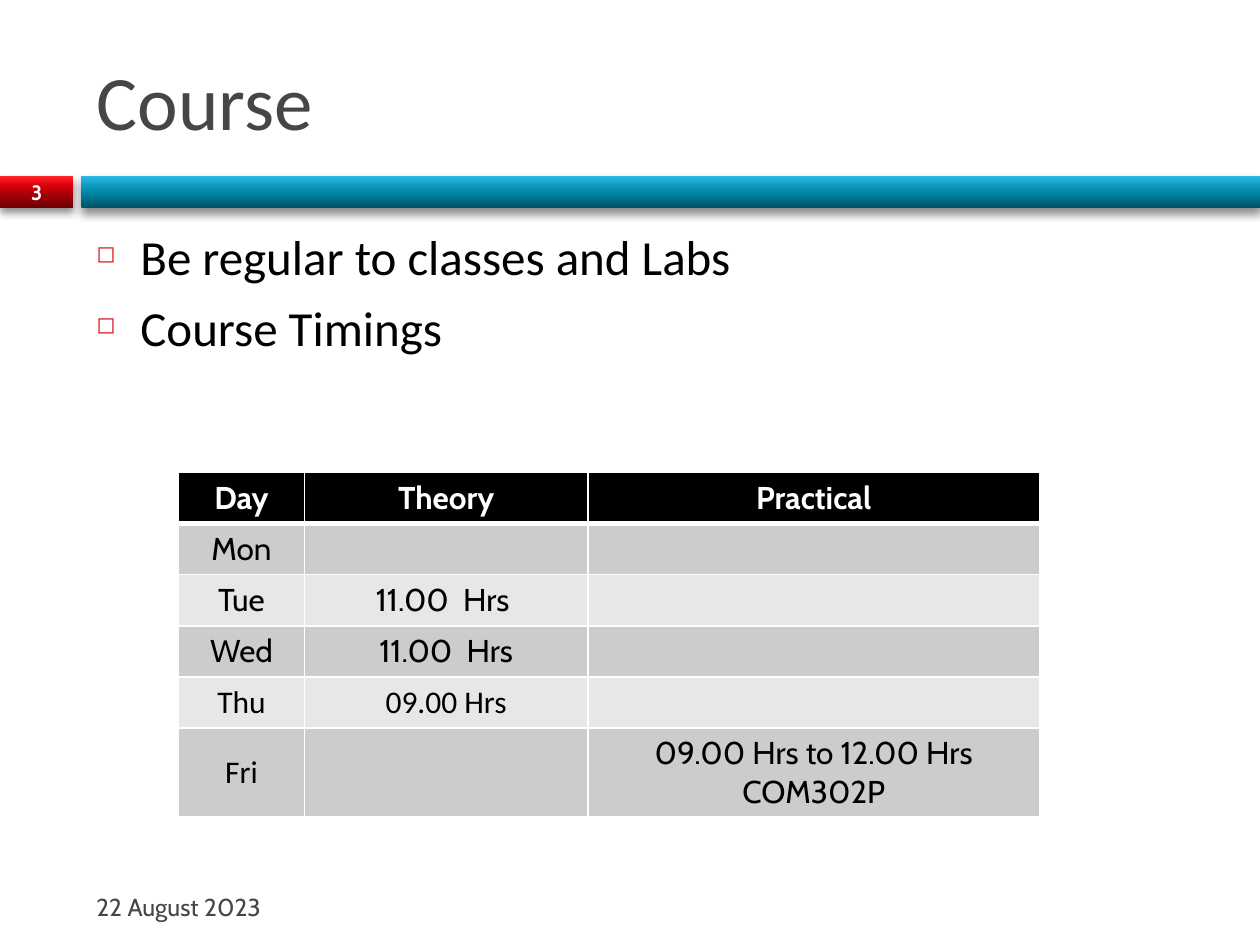
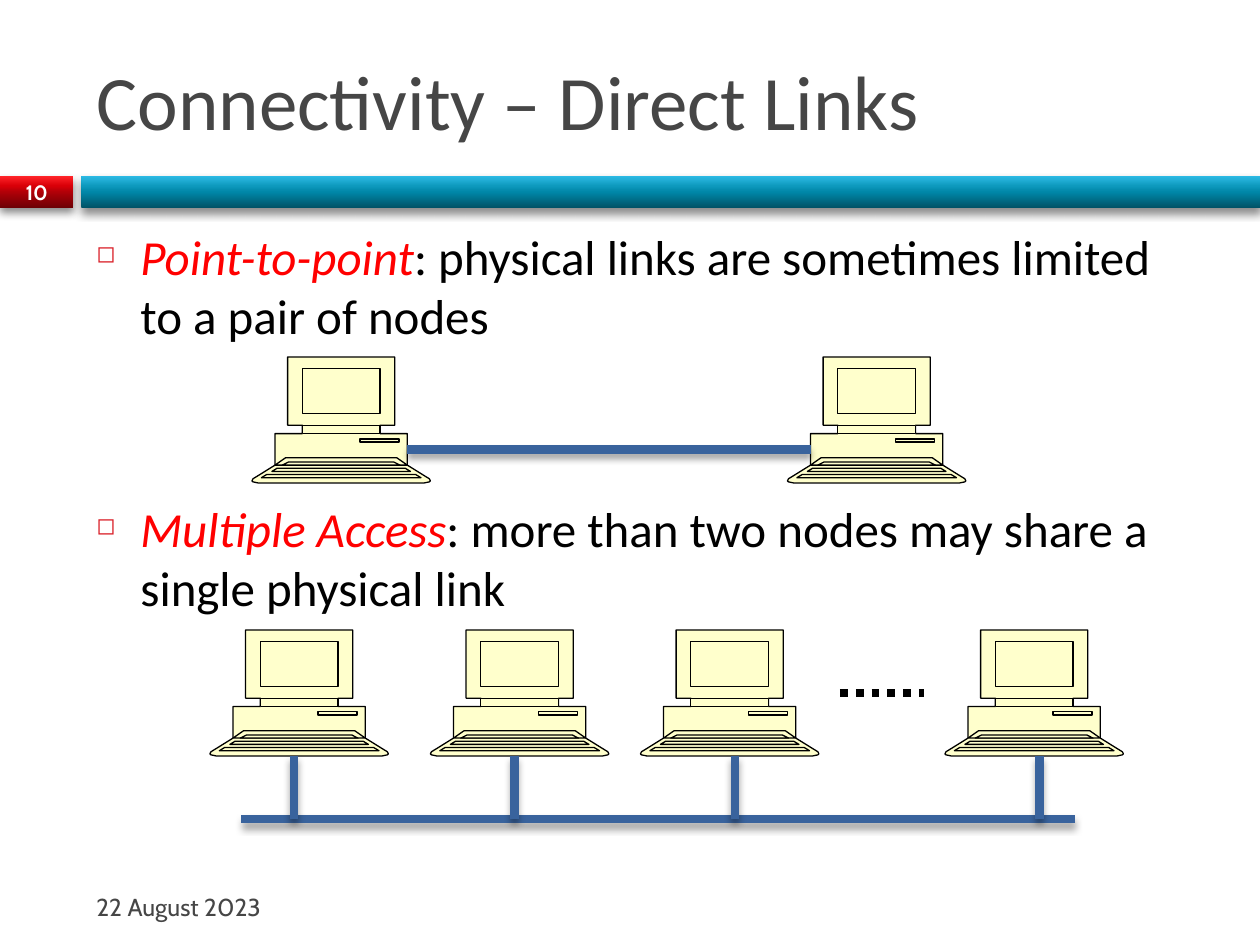
from lxml.etree import SubElement
from pptx import Presentation
from pptx.dml.color import RGBColor
from pptx.enum.dml import MSO_LINE
from pptx.enum.shapes import MSO_CONNECTOR, MSO_SHAPE
from pptx.enum.text import MSO_ANCHOR, MSO_AUTO_SIZE, PP_ALIGN
from pptx.oxml import parse_xml
from pptx.oxml.ns import nsdecls, qn
from pptx.util import Inches, Pt

# Grid: 120 columns by 90 rows, 12 to the inch
UNIT = Inches(1) // 12
RED = ["6D0005", "B00008", "DA0008", "FF2429"]
TEAL = ["005367", "0086A7", "0E9ABE", "2CB9E3"]
GREY, BLACK, WHITE = "464646", "000000", "FFFFFF"
MARK, KEY, WIRE, CREAM = "DA1F28", "FF0000", "39639D", "FFFFCC"
hue = RGBColor.from_string


def at(*cells):
    return [round(UNIT * cell) for cell in cells]


def put(para, text, size, color, face="Calibri", bold=False, italic=False):
    run = para.add_run()
    run.text = text
    font = run.font
    font.size, font.name = Pt(size), face
    font.bold, font.italic = bold, italic
    font.color.rgb = hue(color)


prs = Presentation()
prs.slide_width, prs.slide_height = at(120, 90)

# Each page: number, title, bullets as (space before, runs)
pages = [
    (3, "Course", [
        (7, [("Be regular to classes and Labs", BLACK, False)]),
        (7, [("Course Timings", BLACK, False)]),
    ]),
    (10, "Connectivity – Direct Links", [
        (7, [("Point-to-point", KEY, True),
             (": physical links are sometimes limited to a pair of nodes",
              BLACK, False)]),
        (88, [("Multiple Access", KEY, True),
              (": more than two nodes may share a single physical link",
               BLACK, False)]),
    ]),
]
slides = []
casts = []  # (shape, shadow opacity, blur, distance)

for number, name, points in pages:
    slide = prs.slides.add_slide(prs.slide_layouts[5])
    slides.append(slide)

    # Bands
    for left, wide, stops in [(0, 7, RED), (7.75, 112.25, TEAL)]:
        band = slide.shapes.add_shape(
            MSO_SHAPE.RECTANGLE, *at(left, 16.8, wide, 3))
        band.line.fill.background()
        band.fill.gradient()
        band.fill.gradient_angle = 90
        ramp = band.element.spPr.find(".//" + qn("a:gsLst"))
        for stop in list(ramp):
            ramp.remove(stop)
        for share, color in zip([0, 50, 70, 100], stops):
            stop = SubElement(ramp, qn("a:gs"), pos=str(share * 1000))
            SubElement(stop, qn("a:srgbClr"), val=color)
        casts.append((band, 45, 5, 3))

    # Title
    title = slide.shapes.title
    title.left, title.top, title.width, title.height = at(8, 3, 107, 13)
    frame = title.text_frame
    frame.auto_size, frame.word_wrap = MSO_AUTO_SIZE.NONE, True
    frame.vertical_anchor = MSO_ANCHOR.MIDDLE
    frame.paragraphs[0].alignment = PP_ALIGN.LEFT
    put(frame.paragraphs[0], name, 44, GREY)

    # Bullets
    frame = slide.shapes.add_textbox(*at(8, 21, 107, 59)).text_frame
    frame.word_wrap = True
    for row, (gap, runs) in enumerate(points):
        para = frame.add_paragraph() if row else frame.paragraphs[0]
        para.space_before = Pt(gap)
        props = para._p.get_or_add_pPr()
        props.set("marL", str(Inches(0.35)))
        props.set("indent", str(-Inches(0.35)))
        tint = SubElement(props, qn("a:buClr"))
        SubElement(tint, qn("a:srgbClr"), val=MARK)
        SubElement(props, qn("a:buSzPct"), val="48000")
        SubElement(props, qn("a:buChar"), char="◻")
        for text, color, slant in runs:
            put(para, text, 28, color, italic=slant)

    # Date and page number
    for area, text, size, color, bold, align in [
        ((8, 84, 35, 4.8), "22 August 2023", 14, GREY, False, PP_ALIGN.LEFT),
        ((0, 16.7, 7, 3.2), str(number), 11.9, WHITE, True, PP_ALIGN.CENTER),
    ]:
        frame = slide.shapes.add_textbox(*at(*area)).text_frame
        frame.word_wrap = True
        frame.vertical_anchor = MSO_ANCHOR.MIDDLE
        frame.paragraphs[0].alignment = align
        put(frame.paragraphs[0], text, size, color, "Cabin", bold)

course, links = slides

# Timetable
times = [
    ["Day", "Theory", "Practical"],
    ["Mon", "", ""],
    ["Tue", "11.00  Hrs ", ""],
    ["Wed", "11.00  Hrs", ""],
    ["Thu", "09.00 Hrs", ""],
    ["Fri", "", "09.00 Hrs to 12.00 Hrs\nCOM302P"],
]
table = course.shapes.add_table(6, 3, *at(17, 45, 82, 32.8)).table
table.first_row = table.horz_banding = False
for col, wide in zip(table.columns, at(12, 27, 43)):
    col.width = wide
for r, texts in enumerate(times):
    table.rows[r].height = Pt(29.2 if r < 5 else 51)
    shade = BLACK if r == 0 else "CCCCCC" if r % 2 else "E7E7E7"
    for c, text in enumerate(texts):
        cell = table.cell(r, c)
        cell.vertical_anchor = MSO_ANCHOR.MIDDLE
        cell.fill.solid()
        cell.fill.fore_color.rgb = hue(shade)
        face = "Calibri" if r > 3 and c < 2 else "Cabin"
        for i, line in enumerate(text.split("\n") if text else []):
            frame = cell.text_frame
            para = frame.add_paragraph() if i else frame.paragraphs[0]
            para.alignment = PP_ALIGN.CENTER
            put(para, line, 18, WHITE if r == 0 else BLACK, face, r == 0)
        # Cell borders, thick under the head row
        props = cell._tc.get_or_add_tcPr()
        for i, side in enumerate("LRTB"):
            thick = 3 if (r, side) in [(0, "B"), (1, "T")] else 1
            props.insert(i, parse_xml(
                f'<a:ln{side} {nsdecls("a")} w="{Pt(thick)}"><a:solidFill>'
                f'<a:srgbClr val="{WHITE}"/></a:solidFill></a:ln{side}>'))

# Computer parts: left halves, mirrored to a width of 17
halves = [
    [(3.4, 0), (3.4, 6.5), (4.8, 6.5), (4.8, 7.3), (2.2, 7.3), (2.2, 10.3),
     (0.6, 11.3), (0.1, 11.6), (0, 11.8), (0.1, 11.9), (0.6, 12)],  # case
    [(3.2, 9.6), (2.2, 10.3)],   # deck
    [(3.5, 10), (2.9, 10.3)],    # rows of keys
    [(2.4, 10.6), (1.9, 10.9)],
    [(1.4, 11.2), (0.9, 11.5)],
    [(4.8, 1.1), (4.8, 5.4)],    # screen
    [(4.8, 6.5), (4.8, 7.3)],    # neck
]
parts = [half + [(17 - x, y) for x, y in reversed(half)] for half in halves]
parts.append([(10.3, 7.8), (10.3, 8.1), (14, 8.1), (14, 7.8)])  # drive

# Computers, one outline each
hosts = []
for left, top in [(24, 34), (75, 34), (20, 60), (41, 60), (61, 60), (90, 60)]:
    pen = None
    for part in parts:
        spots = [at(left + x, top + y) for x, y in part]
        if pen:
            pen.move_to(*spots[0])
        else:
            pen = links.shapes.build_freeform(*spots[0])
        pen.add_line_segments(spots[1:], close=True)
    host = pen.convert_to_shape()
    host.shadow.inherit = False
    host.fill.solid()
    host.fill.fore_color.rgb = hue(CREAM)
    host.line.color.rgb = hue(BLACK)
    host.line.width = Pt(0.75)
    hosts.append(host)

    # Fill each part by itself, so that none cuts a hole
    whole = host.element.spPr.find(".//" + qn("a:path"))
    for step in list(whole):
        if step.tag == qn("a:moveTo"):
            track = SubElement(whole.getparent(), qn("a:path"),
                               w=whole.get("w"), h=whole.get("h"))
        track.append(step)
    whole.getparent().remove(whole)

# Wires: the pair's link, the shared bus, its drops
ends = [(38.8, 42.8, 77.2, 42.8), (23, 78, 102.4, 78)]
ends += [(x, 78, x, 72) for x in (28, 49, 70, 99)]
wires = []
for end in ends:
    wire = links.shapes.add_connector(MSO_CONNECTOR.STRAIGHT, *at(*end))
    wire.line.color.rgb = hue(WIRE)
    wire.line.width = Pt(5)
    wires.append(wire)
    casts.append((wire, 35, 4, 3))

# Dots for further nodes
dots = links.shapes.add_connector(MSO_CONNECTOR.STRAIGHT, *at(80, 66, 88, 66))
dots.line.color.rgb = hue(BLACK)
dots.line.width = Pt(4.5)
dots.line.dash_style = MSO_LINE.ROUND_DOT
SubElement(dots.element.spPr, qn("a:effectLst"))

# Shadows of bands and wires
for shape, dense, blur, dist in casts:
    effect = SubElement(shape.element.spPr, qn("a:effectLst"))
    drop = SubElement(effect, qn("a:outerShdw"), blurRad=str(Pt(blur)),
                      dist=str(Pt(dist)), dir="5400000", rotWithShape="0")
    tint = SubElement(drop, qn("a:srgbClr"), val=BLACK)
    SubElement(tint, qn("a:alpha"), val=str(dense * 1000))

# One group for each kind of link
links.shapes.add_group_shape(hosts[:2] + wires[:1])
links.shapes.add_group_shape(hosts[2:] + wires[1:] + [dots])

prs.save("out.pptx")
